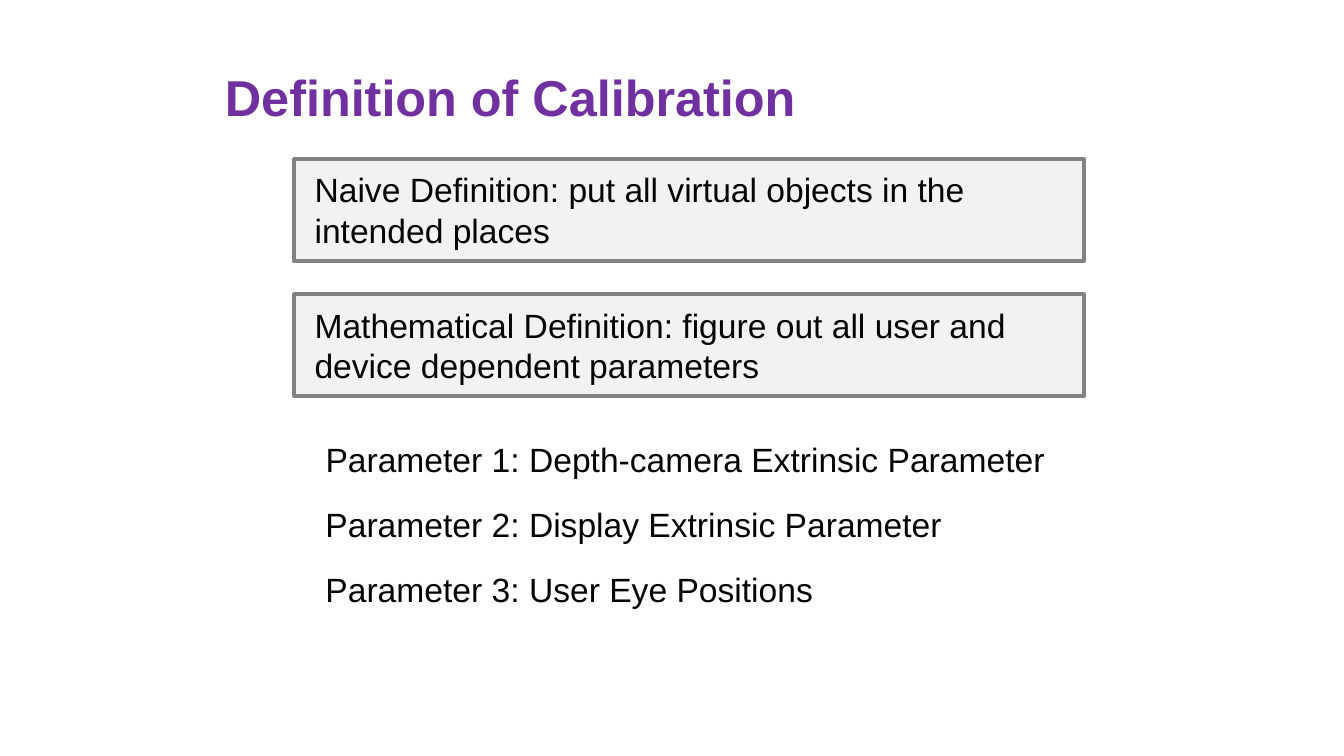
import pptx
import pptx.util
import pptx.dml.color
import pptx.enum.shapes
import pptx.enum.text
from dataclasses import dataclass

Inches = pptx.util.Inches
Pt = pptx.util.Pt
Anchor = pptx.enum.text.MSO_ANCHOR


@dataclass(frozen=True)
class Theme:
    font: str = "Arial"
    title_color: str = "7030A0"
    text_color: str = "050505"
    box_fill: str = "F2F2F2"
    box_line: str = "828282"
    title_size: int = 36
    body_size: int = 24
    line_width: int = 3


def rgb(value):
    return pptx.dml.color.RGBColor.from_string(value)


def apply_format(target, values):
    for name, value in values.items():
        setattr(target, name, value)


class SlideBuilder:
    def __init__(self, presentation, theme):
        self.theme = theme
        self.slide = presentation.slides.add_slide(presentation.slide_layouts[5])

    def set_text(self, shape, text, size, color, bold=False, anchor=Anchor.TOP,
                 margins=(0.1, 0.05), line_spacing=None):
        frame = shape.text_frame
        horizontal, vertical = (Inches(margin) for margin in margins)
        apply_format(frame, {
            "text": text, "word_wrap": True, "vertical_anchor": anchor,
            "auto_size": pptx.enum.text.MSO_AUTO_SIZE.NONE,
            "margin_left": horizontal, "margin_right": horizontal,
            "margin_top": vertical, "margin_bottom": vertical,
        })
        paragraph = frame.paragraphs[0]
        apply_format(paragraph, {"alignment": pptx.enum.text.PP_ALIGN.LEFT,
                                 "line_spacing": line_spacing})
        font = paragraph.runs[0].font
        apply_format(font, {"name": self.theme.font, "size": Pt(size), "bold": bold})
        font.color.rgb = rgb(color)

    def title(self, text, left, top, width, height):
        shape = self.slide.shapes.title
        apply_format(shape, {"left": Inches(left), "top": Inches(top),
                             "width": Inches(width), "height": Inches(height)})
        self.set_text(shape, text, self.theme.title_size, self.theme.title_color,
                      bold=True, anchor=Anchor.MIDDLE, margins=(0.05, 0.05),
                      line_spacing=0.9)

    def definition_box(self, text, left, top, width, height):
        shape = self.slide.shapes.add_shape(
            pptx.enum.shapes.MSO_SHAPE.RECTANGLE,
            Inches(left), Inches(top), Inches(width), Inches(height))
        shape.shadow.inherit = False
        shape.fill.solid()
        shape.fill.fore_color.rgb = rgb(self.theme.box_fill)
        shape.line.color.rgb = rgb(self.theme.box_line)
        shape.line.width = Pt(self.theme.line_width)
        self.set_text(shape, text, self.theme.body_size, self.theme.text_color,
                      margins=(0.2, 0.1))

    def text_line(self, text, left, top, width, height):
        shape = self.slide.shapes.add_textbox(
            Inches(left), Inches(top), Inches(width), Inches(height))
        self.set_text(shape, text, self.theme.body_size, self.theme.text_color)


def main():
    presentation = pptx.Presentation()
    presentation.slide_width = Inches(13.33)
    presentation.slide_height = Inches(7.5)
    builder = SlideBuilder(presentation, Theme())

    # Title
    builder.title("Definition of Calibration", 2.18, 0.49, 9, 1)

    # Definitions
    definitions = [
        "Naive Definition: put all virtual objects in the intended places",
        "Mathematical Definition: figure out all user and device dependent parameters",
    ]
    for index, text in enumerate(definitions):
        builder.definition_box(text, 2.92, 1.58 + 1.34 * index, 7.83, 1.01)

    # Parameters
    parameters = [
        ("Depth-camera Extrinsic Parameter", 7.62),
        ("Display Extrinsic Parameter", 6.87),
        ("User Eye Positions", 6.87),
    ]
    for index, (name, width) in enumerate(parameters):
        builder.text_line(f"Parameter {index + 1}: {name}",
                          3.13, 4.31 + 0.64 * index, width, 0.5)

    presentation.save("out.pptx")


if __name__ == "__main__":
    main()
